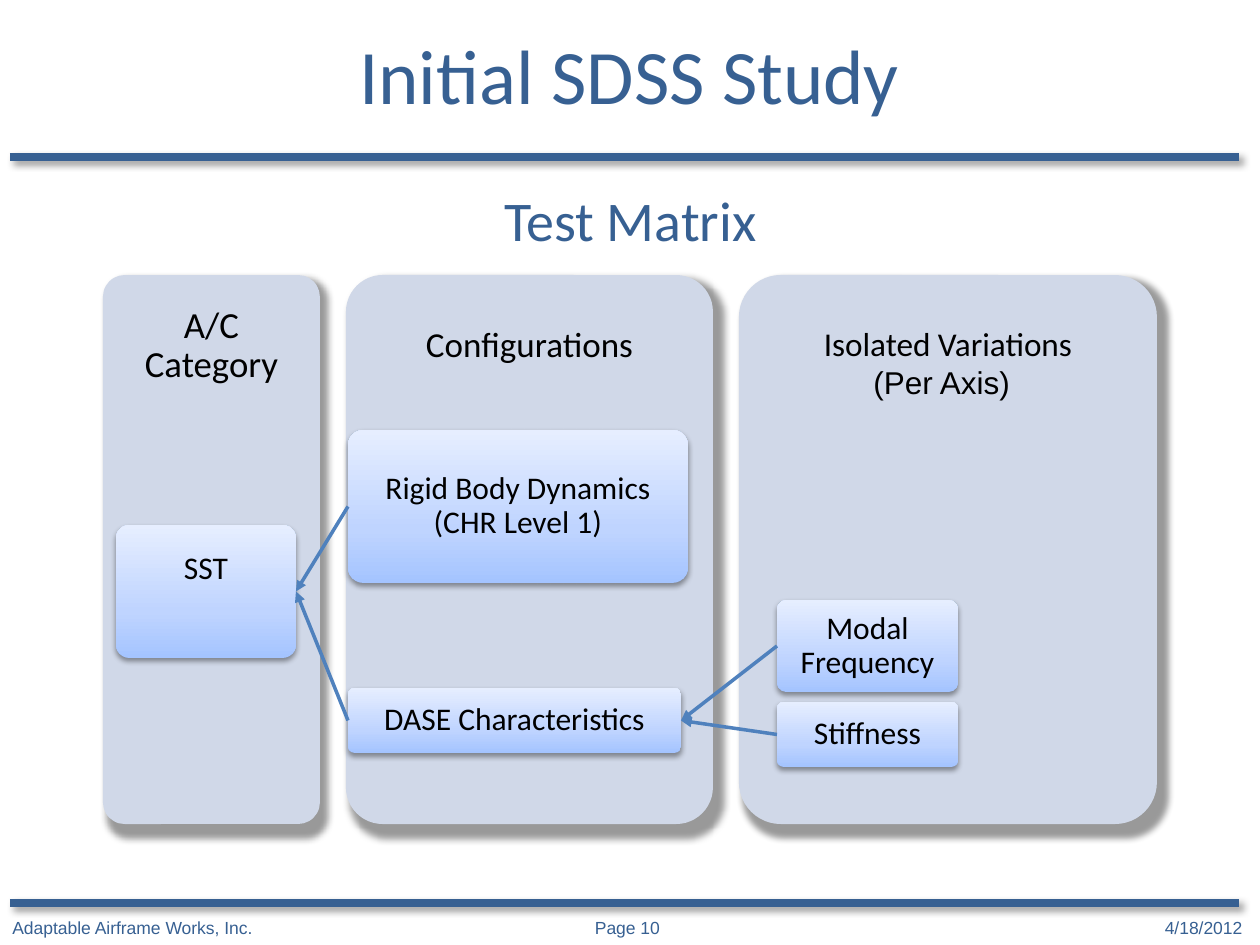
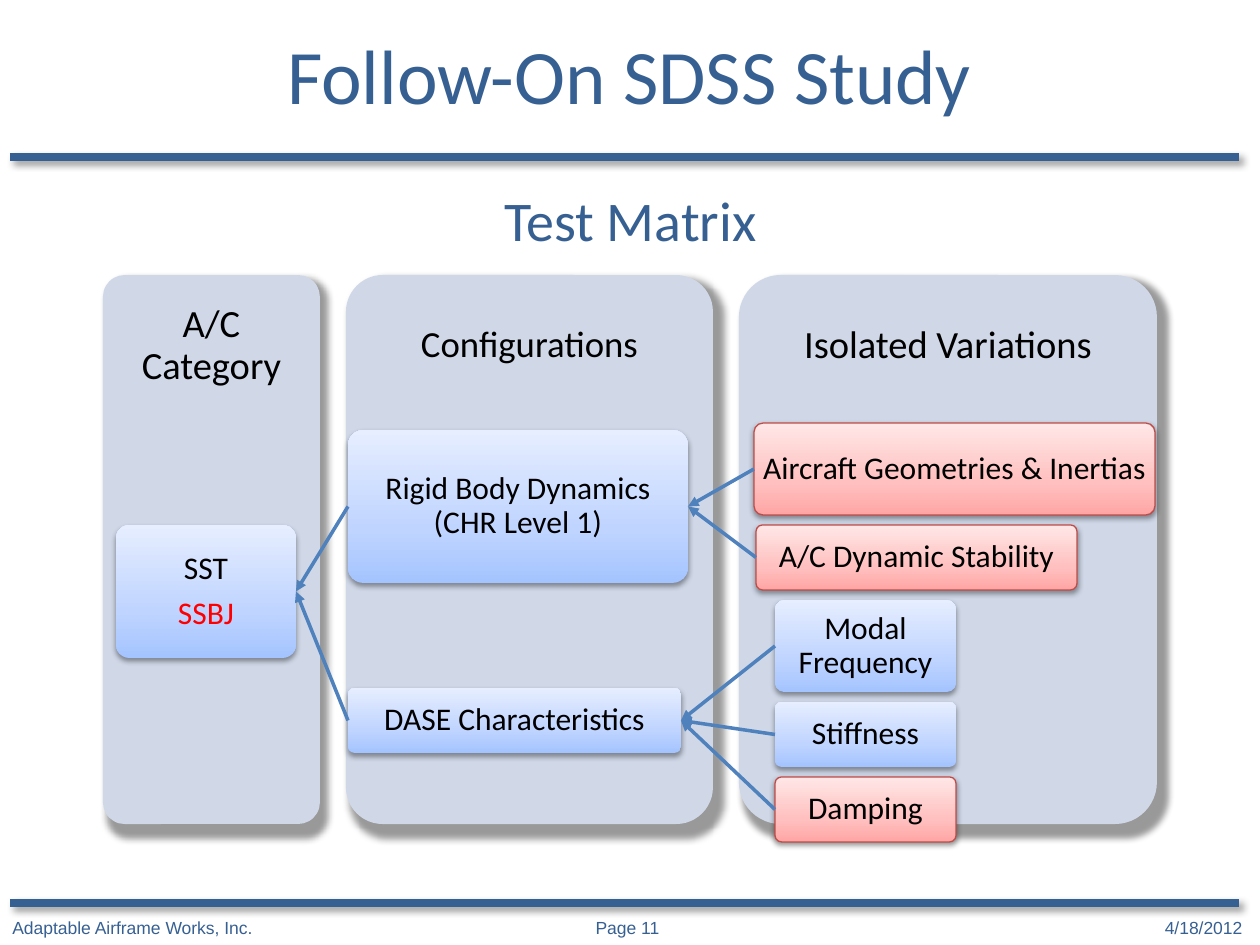
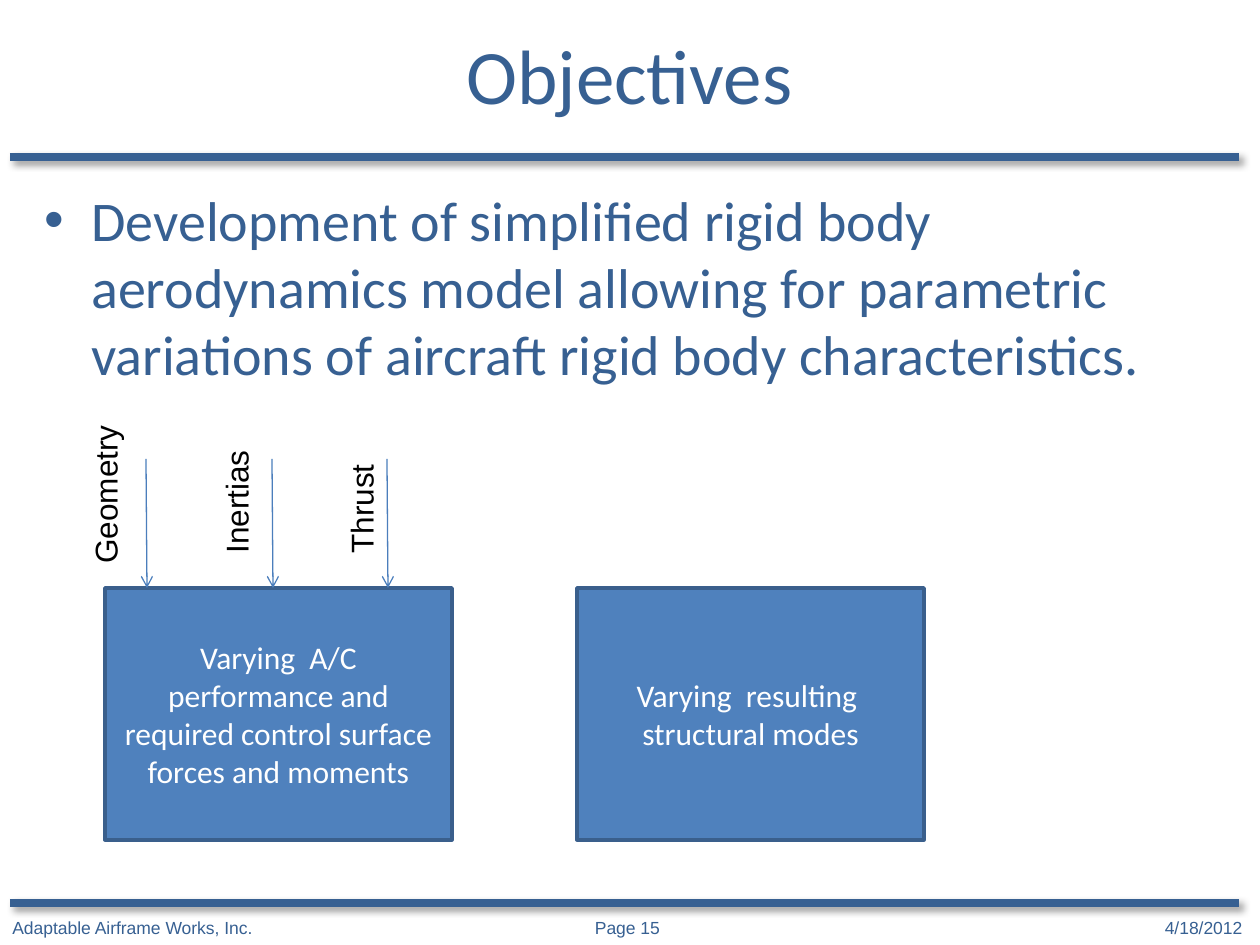
import copy
import dataclasses

import lxml.etree
import pptx
import pptx.dml.color
import pptx.enum.shapes
import pptx.enum.text
import pptx.oxml.ns
import pptx.util

PX = 914400 / 126
ALIGN = pptx.enum.text.PP_ALIGN
ANCHOR = pptx.enum.text.MSO_ANCHOR
SHAPE = pptx.enum.shapes.MSO_SHAPE
STRAIGHT = pptx.enum.shapes.MSO_CONNECTOR.STRAIGHT


@dataclasses.dataclass(frozen=True)
class Theme:
    navy: str = "376092"
    black: str = "000000"
    white: str = "FFFFFF"
    red: str = "FF0000"
    column: str = "D0D8E8"
    box: str = "4F81BD"
    box_edge: str = "3A5F8C"
    thin_arrow: str = "4B7EBC"
    new_edge: str = "BF4C48"
    blue_stops: tuple = ((0, "A4C4FF"), (0.35, "BFD4FF"), (1, "E6EEFF"))
    red_stops: tuple = ((0, "FFA6A5"), (0.35, "FFC0BF"), (1, "FFE7E7"))
    head_font: str = "Calibri"
    plain_font: str = "Arial"
    title: int = 44
    body: int = 32
    label: int = 18
    footer: int = 10


T = Theme()
RULE_SHADOW = {"alpha": 40, "blur": 4, "dist": 3, "dir": 45}
COLUMN_SHADOW = {**RULE_SHADOW, "scale": 102}
NODE_SHADOW = {"alpha": 38, "blur": 3.1, "dist": 1.6, "dir": 90}
COLUMN_TOP, COLUMN_HEIGHT, HEADER_HEIGHT, COLUMN_GAP = 275, 549, 142, 26
COLUMN_WIDTHS = (217, 367, 418)
HEADERS = ("A/C Category", "Configurations", "Isolated Variations")
NODE_GAP = 10


def emu(*lengths):
    return [pptx.util.Emu(round(n * PX)) for n in lengths]


def rgb(color):
    return pptx.dml.color.RGBColor.from_string(color)


def apply(obj, values):
    for name, value in values.items():
        setattr(obj, name, value)


def add_xml(parent, tag, **attrs):
    return lxml.etree.SubElement(parent, pptx.oxml.ns.qn(tag), {k: str(v) for k, v in attrs.items()})


def set_effects(sp, shadow=None):
    effects = add_xml(sp._element.spPr, "a:effectLst")
    if not shadow:
        return
    attrs = {"blurRad": round(shadow["blur"] * 12700), "dist": round(shadow["dist"] * 12700),
             "dir": shadow["dir"] * 60000}
    if "scale" in shadow:
        attrs.update(sx=shadow["scale"] * 1000, sy=shadow["scale"] * 1000)
    outer = add_xml(effects, "a:outerShdw", **attrs, algn="tl", rotWithShape=0)
    color = add_xml(outer, "a:srgbClr", val=T.black)
    add_xml(color, "a:alpha", val=shadow["alpha"] * 1000)


def set_line(line, color, width):
    line.color.rgb = rgb(color)
    line.width = pptx.util.Pt(width)


def write(tf, lines, size, color=T.black, font=T.head_font, frame=None, para=None):
    apply(tf, {"word_wrap": True, **(frame or {})})
    for i, line in enumerate(lines):
        text, line_color = line if isinstance(line, tuple) else (line, color)
        p = tf.paragraphs[0] if i == 0 else tf.add_paragraph()
        apply(p, para or {})
        r = p.add_run()
        r.text = text
        apply(r.font, {"name": font, "size": pptx.util.Pt(size)})
        r.font.color.rgb = rgb(line_color)


def margins(left, top, right, bottom):
    sides = ("margin_left", "margin_top", "margin_right", "margin_bottom")
    return dict(zip(sides, emu(left, top, right, bottom)))


def add_text(s, box, text, size, rotation=0, **style):
    sp = s.shapes.add_textbox(*emu(*box))
    sp.rotation = rotation
    write(sp.text_frame, [text], size, **style)
    return sp.text_frame.paragraphs[0]


def add_line(s, start, end, color, width, shadow=None, head=None, tail=None):
    sp = s.shapes.add_connector(STRAIGHT, *emu(*start, *end))
    set_line(sp.line, color, width)
    ln = sp._element.spPr.find(pptx.oxml.ns.qn("a:ln"))
    for tag, kind in (("a:headEnd", head), ("a:tailEnd", tail)):
        if kind:
            add_xml(ln, tag, type=kind)
    set_effects(sp, shadow)
    return sp


def add_box(s, kind, box, fill, edge=None, width=1, shadow=None):
    sp = s.shapes.add_shape(kind, *emu(*box))
    if kind == SHAPE.ROUNDED_RECTANGLE:
        sp.adjustments[0] = 0.1
    if isinstance(fill, tuple):
        sp.fill.gradient()
        sp.fill.gradient_angle = 90
        stops = next(sp._element.spPr.iter(pptx.oxml.ns.qn("a:gsLst")))
        stops.append(copy.deepcopy(stops[-1]))
        for stop, (position, color) in zip(sp.fill.gradient_stops, fill):
            stop.position = position
            stop.color.rgb = rgb(color)
    else:
        sp.fill.solid()
        sp.fill.fore_color.rgb = rgb(fill)
    if edge:
        set_line(sp.line, edge, width)
    else:
        sp.line.fill.background()
    set_effects(sp, shadow)
    return sp


def add_column(s, x, width, header, size):
    add_box(s, SHAPE.ROUNDED_RECTANGLE, (x, COLUMN_TOP, width, COLUMN_HEIGHT), T.column, shadow=COLUMN_SHADOW)
    add_text(s, (x, COLUMN_TOP, width, HEADER_HEIGHT), header, size,
             frame={"vertical_anchor": ANCHOR.MIDDLE, **margins(20, 20, 20, 20)},
             para={"alignment": ALIGN.CENTER, "line_spacing": 0.9})


def add_node(s, box, lines, new=False, bottom=1):
    stops, edge = (T.red_stops, T.new_edge) if new else (T.blue_stops, None)
    sp = add_box(s, SHAPE.ROUNDED_RECTANGLE, box, stops, edge, 0.75, NODE_SHADOW)
    write(sp.text_frame, lines, T.label,
          frame={"vertical_anchor": ANCHOR.MIDDLE, **margins(1, 1, 1, bottom)},
          para={"alignment": ALIGN.CENTER, "line_spacing": 0.9, "space_after": pptx.util.Pt(6.3)})
    return sp


def link(s, parent, child):
    sp = add_line(s, (0, 0), (0, 0), T.box, 2, head="triangle")
    sp.begin_connect(parent, 3)
    sp.end_connect(child, 1)


def add_slide(prs, title, page):
    s = prs.slides.add_slide(prs.slide_layouts[5])
    for y in (157, 903):
        add_line(s, (10, y), (1239, y), T.navy, 4.5, RULE_SHADOW)
    p = add_text(s, (0, 911, 1260, 34), f"Adaptable Airframe Works, Inc.\tPage {page}\t4/18/2012",
                 T.footer, color=T.navy, font=T.plain_font)
    tabs = add_xml(p._p.get_or_add_pPr(), "a:tabLst")
    for x, align in ((615, "ctr"), (1230, "r")):
        add_xml(tabs, "a:tab", pos=emu(x)[0], algn=align)
    sp = s.shapes.title
    apply(sp, dict(zip(("left", "top", "width", "height"), emu(94, 0, 1071, 147))))
    write(sp.text_frame, [title], T.title, T.navy,
          frame={"vertical_anchor": ANCHOR.MIDDLE}, para={"alignment": ALIGN.CENTER})
    return s


def add_study(prs, title, page, header_sizes, categories, category_bottom, stack_top, variations):
    s = add_slide(prs, title, page)
    add_text(s, (32, 179, 1197, 80), "Test Matrix", T.body, color=T.navy, para={"alignment": ALIGN.CENTER})
    x = 103
    for width, header, size in zip(COLUMN_WIDTHS, HEADERS, header_sizes):
        add_column(s, x, width, header, size)
        x += width + COLUMN_GAP
    category = add_node(s, (116, 525, 180, 133), categories, bottom=category_bottom)
    configurations = {
        "rigid": add_node(s, (348, 430, 340, 153), ["Rigid Body Dynamics (CHR Level 1)"]),
        "dase": add_node(s, (348, 688, 333, 65), ["DASE Characteristics"]),
    }
    for configuration in configurations.values():
        link(s, category, configuration)
    y = stack_top
    for text, parent, x, width, height, new in variations:
        node = add_node(s, (x, y, width, height), [text], new)
        link(s, configurations[parent], node)
        y += height + NODE_GAP
    return s


def add_initial_study(prs):
    s = add_study(prs, "Initial SDSS Study", 10, (21, 20, 19), ["SST"], 46, 600, [
        ("Modal Frequency", "dase", 777, 181, 92, False),
        ("Stiffness", "dase", 777, 181, 65, False),
    ])
    add_text(s, (861, 357, 189, 50), "(Per Axis)", T.label, font=T.plain_font)


def add_follow_on_study(prs):
    add_study(prs, "Follow-On SDSS Study", 11, (22, 21, 22), ["SST", ("SSBJ", T.red)], 1, 423, [
        ("Aircraft Geometries & Inertias", "rigid", 754, 401, 92, True),
        ("A/C Dynamic Stability", "rigid", 756, 321, 65, True),
        ("Modal Frequency", "dase", 775, 181, 92, False),
        ("Stiffness", "dase", 775, 181, 65, False),
        ("Damping", "dase", 775, 181, 65, True),
    ])


def add_objectives(prs):
    s = add_slide(prs, "Objectives", 15)
    p = add_text(s, (32, 179, 1197, 231),
                 "Development of simplified rigid body aerodynamics model allowing for parametric "
                 "variations of aircraft rigid body characteristics.", T.body, color=T.navy)
    pPr = p._p.get_or_add_pPr()
    indent = emu(47)[0]
    pPr.set("marL", str(indent))
    pPr.set("indent", str(-indent))
    add_xml(pPr, "a:buFont", typeface=T.plain_font)
    add_xml(pPr, "a:buChar", char="•")
    for x, text in (
        (105, "Varying  A/C performance and required control surface forces and moments"),
        (577, "Varying  resulting  structural modes"),
    ):
        sp = add_box(s, SHAPE.RECTANGLE, (x, 588, 347, 252), T.box, T.box_edge, 2)
        write(sp.text_frame, [text], T.label, T.white,
              frame={"vertical_anchor": ANCHOR.MIDDLE}, para={"alignment": ALIGN.CENTER})
    for text, arrow_x, label_x, label_y in (
        ("Geometry", 146, 21, 467),
        ("Inertias", 272, 152, 457),
        ("Thrust", 387, 277, 457),
    ):
        add_line(s, (arrow_x, 459), (arrow_x + 1, 588), T.thin_arrow, 0.75, tail="arrow")
        add_text(s, (label_x, label_y, 168, 50), text, T.label, rotation=270, font=T.plain_font)


def main():
    prs = pptx.Presentation()
    prs.slide_width, prs.slide_height = emu(1260, 945)
    add_initial_study(prs)
    add_follow_on_study(prs)
    add_objectives(prs)
    prs.save("out.pptx")


if __name__ == "__main__":
    main()
